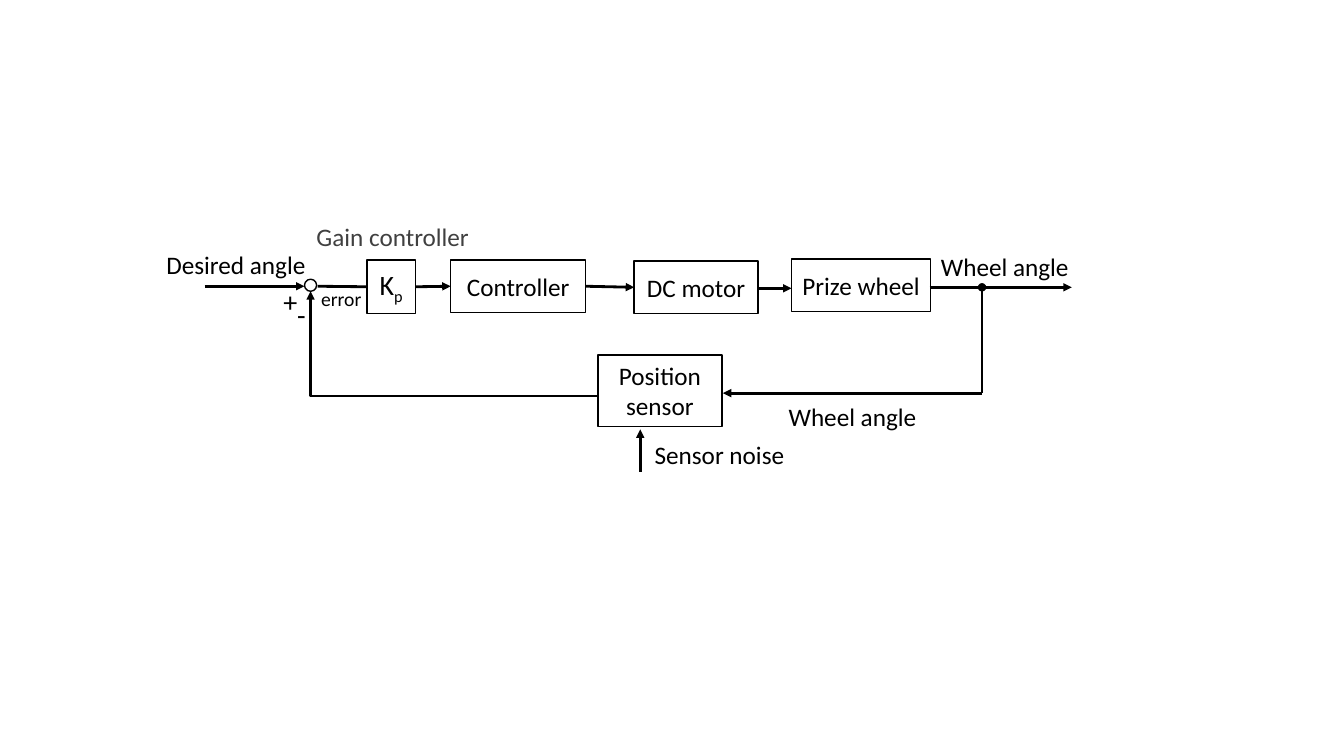
from lxml import etree
from pptx import Presentation
from pptx.dml.color import RGBColor
from pptx.enum.shapes import MSO_CONNECTOR, MSO_SHAPE
from pptx.enum.text import MSO_ANCHOR, PP_ALIGN
from pptx.oxml.ns import qn
from pptx.util import Emu, Pt

STRAIGHT, ELBOW = MSO_CONNECTOR.STRAIGHT, MSO_CONNECTOR.ELBOW
RECTANGLE, OVAL = MSO_SHAPE.RECTANGLE, MSO_SHAPE.OVAL
MIDDLE, CENTER = MSO_ANCHOR.MIDDLE, PP_ALIGN.CENTER
RIGHT_SIDE, LEFT_SIDE = 3, 1
BLACK, GREY = "000000", "404040"
FONT = "Calibri"
EMU_PER_PX = 9144  # 100 px to the inch

# Blocks: name -> text, left, top, width, height, font size
BLOCKS = {
    "gain": ("Kp", 364, 258, 48, 53, 20),
    "controller": ("Controller", 447, 258, 134, 52, 18),
    "motor": ("DC motor", 629, 259, 123, 52, 18),
    "wheel": ("Prize wheel", 785, 257, 138, 52, 18),
    "sensor": ("Position\nsensor", 593, 352, 123, 71, 18),
}
SUMMING_POINT = (302, 277, 12, 12)

# Labels: text, left, top, width, height, font size, colour
LABELS = [
    ("Gain controller", 303, 215, 173, 40, 18, GREY),
    ("Desired angle", 154, 242, 160, 40, 18, BLACK),
    ("Wheel angle", 922, 244, 149, 40, 18, BLACK),
    ("Wheel angle", 771, 393, 149, 40, 18, BLACK),
    ("Sensor noise", 639, 431, 149, 40, 18, BLACK),
    ("error", 308, 279, 61, 34, 14, BLACK),
    ("+", 271, 277, 34, 44, 20, BLACK),
    ("-", 285, 290, 27, 44, 20, BLACK),
]

# Signals: start, end, arrowhead, block at start, block at end
SIGNALS = [
    ((203, 284), (302, 284), "triangle", None, None),
    ((315, 284), (364, 284), None, None, "gain"),
    ((412, 284), (447, 284), "triangle", "gain", "controller"),
    ((581, 284), (629, 285), "triangle", "controller", "motor"),
    ((752, 286), (785, 286), "triangle", None, None),
    ((922, 285), (974, 285), "oval", None, None),
    ((974, 285), (1063, 285), "triangle", None, None),
    ((974, 285), (974, 390), None, None, None),
    ((974, 390), (717, 390), "triangle", None, None),
    ((635, 468), (635, 426), "triangle", None, None),
]
FEEDBACK = ((308, 289), (593, 393))


def px(*lengths):
    return [Emu(length * EMU_PER_PX) for length in lengths]


def color(value):
    return RGBColor.from_string(value)


def write(shape, text, size, text_color):
    frame = shape.text_frame
    frame.text = text
    frame.word_wrap = False
    frame.vertical_anchor = MIDDLE
    for paragraph in frame.paragraphs:
        paragraph.alignment = CENTER
        for run in paragraph.runs:
            run.font.name = FONT
            run.font.size = Pt(size)
            run.font.color.rgb = color(text_color)


def add_outline(slide, kind, place):
    shape = slide.shapes.add_shape(kind, *px(*place))
    shape.shadow.inherit = False
    shape.fill.background()
    shape.line.color.rgb = color(BLACK)
    shape.line.width = Pt(1)
    return shape


def add_signal(slide, kind, start, end, head, width=2):
    connector = slide.shapes.add_connector(kind, *px(*start, *end))
    connector.line.color.rgb = color(BLACK)
    connector.line.width = Pt(width)
    properties = connector._element.spPr
    if head:
        line = properties.find(qn("a:ln"))
        etree.SubElement(line, qn("a:tailEnd"), type=head)
    etree.SubElement(properties, qn("a:effectLst"))
    return connector


def main():
    presentation = Presentation()
    presentation.slide_width, presentation.slide_height = px(1333, 750)
    slide = presentation.slides.add_slide(presentation.slide_layouts[6])

    # Blocks and summing point
    blocks = {}
    for name, (text, *place, size) in BLOCKS.items():
        blocks[name] = add_outline(slide, RECTANGLE, place)
        write(blocks[name], text, size, BLACK)
    add_outline(slide, OVAL, SUMMING_POINT)

    # Subscript of the gain symbol
    paragraph = blocks["gain"].text_frame.paragraphs[0]
    paragraph.runs[0].text = "K"
    subscript = paragraph.add_run()
    subscript.text = "p"
    subscript.font.name = FONT
    subscript.font.size = Pt(20)
    subscript.font.color.rgb = color(BLACK)
    subscript.font._element.set("baseline", "-25000")

    # Straight signals
    for start, end, head, source, target in SIGNALS:
        connector = add_signal(slide, STRAIGHT, start, end, head)
        if source:
            connector.begin_connect(blocks[source], RIGHT_SIDE)
        if target:
            connector.end_connect(blocks[target], LEFT_SIDE)

    # Feedback path: one bend, turned half round to run left and then up
    feedback = add_signal(slide, ELBOW, *FEEDBACK, "triangle", 1.75)
    properties = feedback._element.spPr
    properties.find(qn("a:prstGeom")).set("prst", "bentConnector2")
    properties.find(qn("a:xfrm")).set("rot", "10800000")

    # Labels
    for text, *place, size, text_color in LABELS:
        write(slide.shapes.add_textbox(*px(*place)), text, size, text_color)

    presentation.save("out.pptx")


if __name__ == "__main__":
    main()
